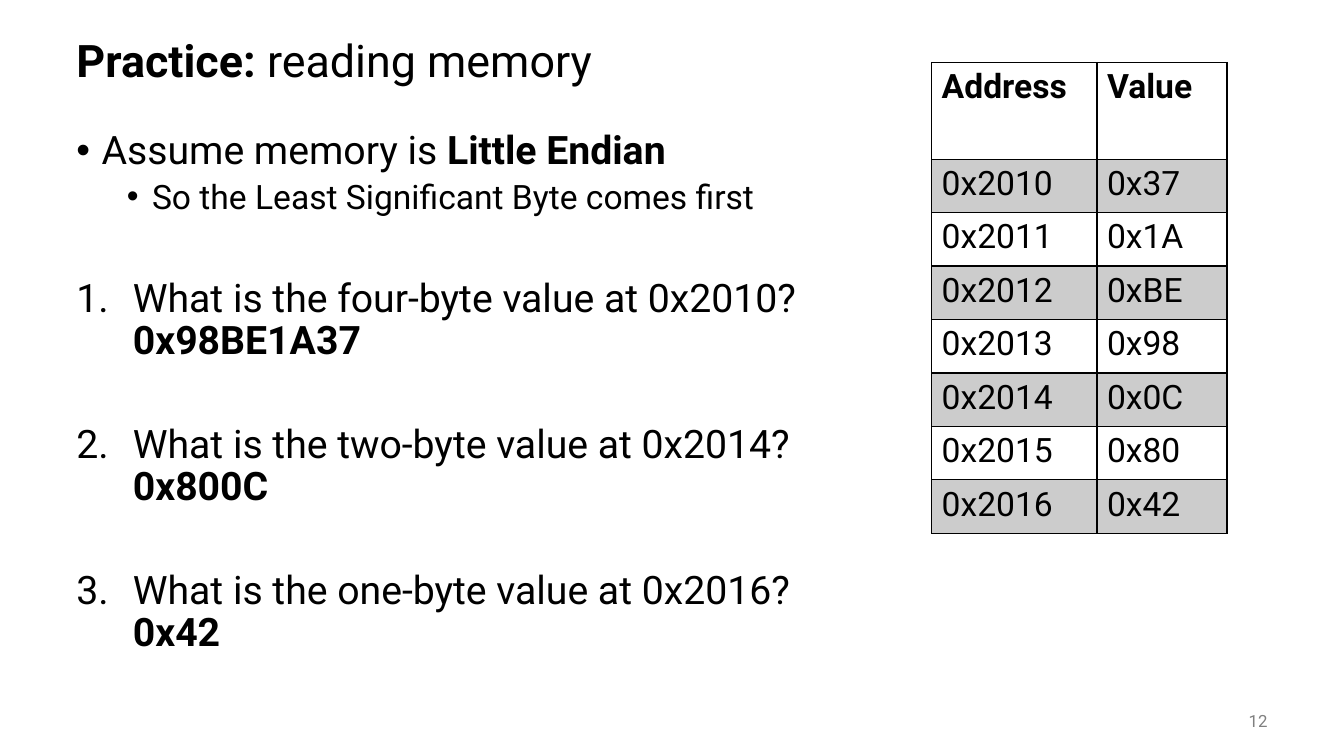
from dataclasses import dataclass

from lxml.etree import SubElement as Sub
from pptx import Presentation
from pptx.dml.color import RGBColor as RGB
from pptx.enum.text import MSO_ANCHOR as Anchor, PP_ALIGN as Align
from pptx.oxml.ns import qn
from pptx.util import Inches, Pt

BLACK, GRAY, BAND = "000000", "808080", "CCCCCC"
BULLET, NUMBER = "•", "arabicPeriod"


@dataclass
class Run:
    text: str
    bold: bool = False


@dataclass
class Para:
    runs: list[Run]
    size: int
    mark: str = ""
    indent: float = 0
    hang: float = 0
    format: dict | None = None


def color(font, value: str) -> None:
    font.color.rgb = RGB.from_string(value)


def add_runs(line, para: Para, tint: str) -> None:
    for name, value in (para.format or {}).items():
        setattr(line, name, value)
    if para.mark:
        props = line._p.get_or_add_pPr()
        props.set("marL", str(Inches(para.indent)))
        props.set("indent", str(-Inches(para.hang)))
        if para.mark == NUMBER:
            Sub(props, qn("a:buAutoNum"), type=NUMBER)
        else:
            Sub(props, qn("a:buFont"), typeface="Arial")
            Sub(props, qn("a:buChar"), char=para.mark)
    for index, part in enumerate(para.runs):
        if index and para.mark == NUMBER:
            line.add_line_break()
        run = line.add_run()
        run.text = part.text
        style = {"name": "Roboto", "size": Pt(para.size), "bold": part.bold}
        for name, value in style.items():
            setattr(run.font, name, value)
        color(run.font, tint)


def add_text(slide, box: tuple, paras: list[Para], anchor=Anchor.TOP,
             tint: str = BLACK) -> None:
    frame = slide.shapes.add_textbox(*map(Inches, box)).text_frame
    frame.word_wrap = True
    frame.vertical_anchor = anchor
    for index, para in enumerate(paras):
        line = frame.add_paragraph() if index else frame.paragraphs[0]
        add_runs(line, para, tint)


def add_borders(cell) -> None:
    props = cell._tc.get_or_add_tcPr()
    for side in "LRTB":
        edge = Sub(props, qn(f"a:ln{side}"), w=str(Pt(1)))
        Sub(Sub(edge, qn("a:solidFill")), qn("a:srgbClr"), val=BLACK)


def add_memory(slide, values: list[str], start: int) -> None:
    rows = [("Address", "Value")]
    rows += [(f"0x{start + i:X}", value) for i, value in enumerate(values)]
    box = map(Inches, (9.24, 0.62, 2.93, 4.69))
    table = slide.shapes.add_table(len(rows), 2, *box).table
    table.first_row = table.horz_banding = False
    for column, width in zip(table.columns, (1.64, 1.29)):
        column.width = Inches(width)
    for r, row in enumerate(rows):
        table.rows[r].height = Inches(0.53 if r else 0.96)
        for c, text in enumerate(row):
            cell = table.cell(r, c)
            add_borders(cell)
            if r % 2:
                cell.fill.solid()
                color_fill = cell.fill.fore_color
                color_fill.rgb = RGB.from_string(BAND)
            else:
                cell.fill.background()
            line = cell.text_frame.paragraphs[0]
            add_runs(line, Para([Run(text, r == 0)], 24), BLACK)


def main() -> None:
    deck = Presentation()
    deck.slide_width, deck.slide_height = Inches(13.33), Inches(7.5)
    slide = deck.slides.add_slide(deck.slide_layouts[6])
    tight = {"line_spacing": 0.9}

    # Title
    title = [Run("Practice:", True), Run(" reading memory")]
    add_text(slide, (0.66, 0.25, 12, 0.75),
             [Para(title, 32, format=tight)], Anchor.MIDDLE)

    # Assumption, then numbered questions with answers
    lead = [Run("Assume memory is "), Run("Little Endian", True)]
    note = [Run("So the Least Significant Byte comes first")]
    body = [
        Para(lead, 28, BULLET, 0.25, 0.25, tight),
        Para(note, 24, BULLET, 0.75, 0.25,
             tight | {"level": 1, "space_before": Pt(5)}),
    ]
    tasks = [
        ("four", "0x2010", "0x98BE1A37"),
        ("two", "0x2014", "0x800C"),
        ("one", "0x2016", "0x42"),
    ]
    for count, place, answer in tasks:
        ask = Run(f"What is the {count}-byte value at {place}?")
        body.append(Para([ask, Run(answer, True)], 28, NUMBER, 0.56, 0.56,
                         tight | {"space_before": Pt(44)}))
    add_text(slide, (0.66, 1.25, 8.4, 5.5), body)

    # Slide number
    add_text(slide, (11.67, 6.95, 1, 0.4),
             [Para([Run("12")], 12, format={"alignment": Align.RIGHT})],
             Anchor.MIDDLE, GRAY)

    # Memory table
    values = ["0x37", "0x1A", "0xBE", "0x98", "0x0C", "0x80", "0x42"]
    add_memory(slide, values, 0x2010)

    deck.save("out.pptx")


if __name__ == "__main__":
    main()
